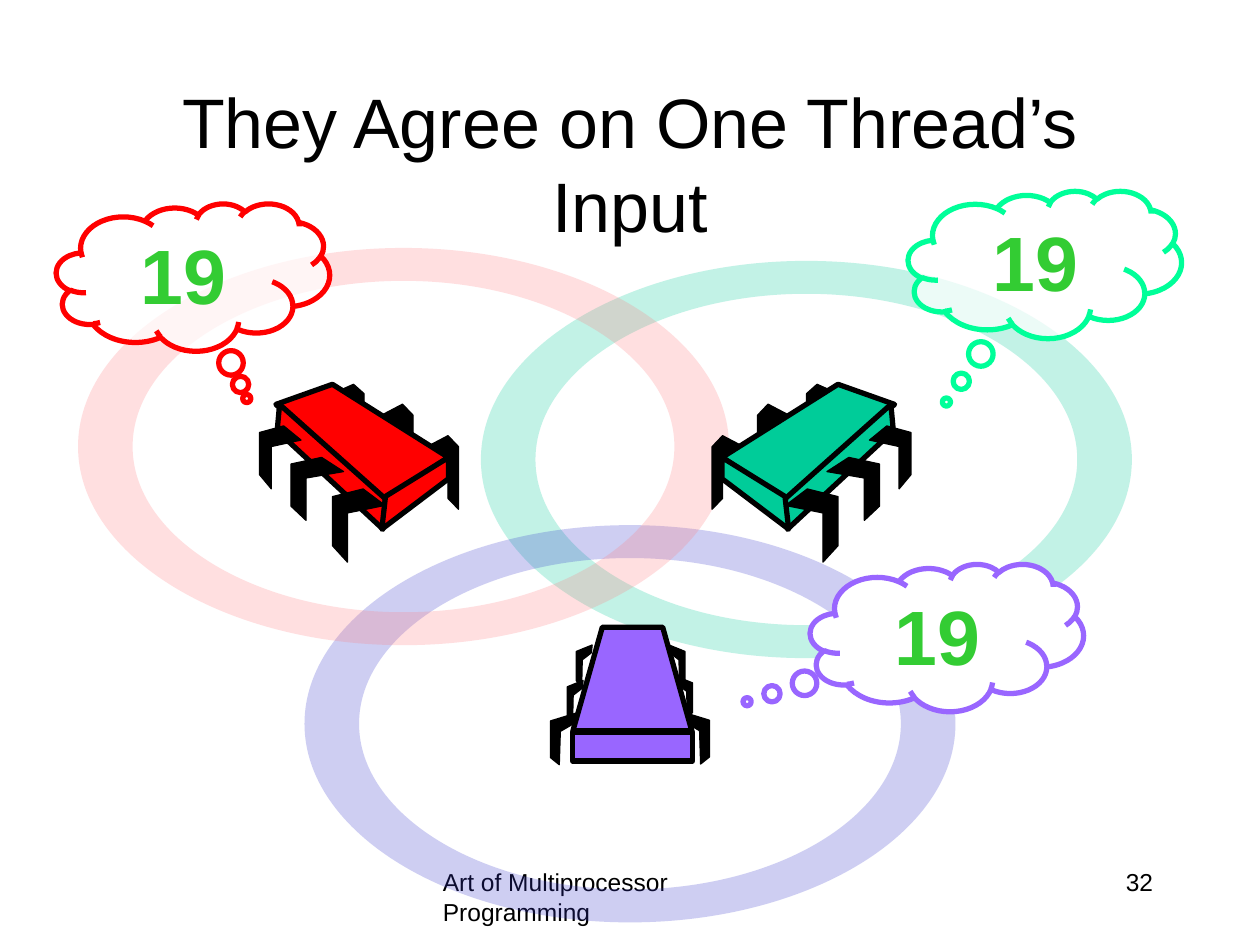
from pptx import Presentation
from pptx.dml.color import RGBColor
from pptx.enum.shapes import MSO_SHAPE as Kind
from pptx.enum.text import MSO_ANCHOR as Anchor, PP_ALIGN as Align
from pptx.oxml.xmlchemy import OxmlElement as Node
from pptx.util import Pt


def paint(shape, fill, line=None, width=0.75, alpha=100):
    shape.shadow.inherit = False
    shape.fill.solid()
    shape.fill.fore_color.rgb = RGBColor.from_string(fill)
    if alpha < 100:
        node = Node("a:alpha")
        node.set("val", str(alpha * 1000))
        shape._element.xpath("./p:spPr/a:solidFill/a:srgbClr")[0].append(node)
    if line:
        shape.line.color.rgb = RGBColor.from_string(line)
        shape.line.width = Pt(width)
    else:
        shape.line.fill.background()


def trace(shapes, *loops):
    loops = [[(Pt(x), Pt(y)) for x, y in loop] for loop in loops]
    pen = shapes.build_freeform(*loops[0][0], scale=1.0)
    pen.add_line_segments(loops[0][1:], close=True)
    for loop in loops[1:]:
        pen.move_to(*loop[0])
        pen.add_line_segments(loop[1:], close=True)
    return pen.convert_to_shape()


deck = Presentation()
deck.slide_width, deck.slide_height = Pt(720), Pt(540)
slide = deck.slides.add_slide(deck.slide_layouts[6])
shapes = slide.shapes

for text, size, align, anchor, spot in [
    ("Art of Multiprocessor Programming", 14, Align.LEFT, Anchor.TOP, (246, 492, 228, 36)),
    ("32", 14, Align.RIGHT, Anchor.TOP, (516, 492, 150, 36)),
    ("They Agree on One Thread’s Input", 40, Align.CENTER, Anchor.MIDDLE, (54, 48, 612, 90)),
]:
    frame = shapes.add_textbox(*map(Pt, spot)).text_frame
    frame.word_wrap = True
    frame.vertical_anchor = anchor
    para = frame.paragraphs[0]
    para.text = text
    para.alignment = align
    para.font.name = "Arial"
    para.font.size = Pt(size)
    para.font.color.rgb = RGBColor.from_string("000000")

bend = 0.55
for x, y, color in [
    (460.8, 262.6, "00CC99"),
    (360, 413.6, "3333CC"),
    (230.6, 255.2, "FF7C80"),
]:
    loops = [
        [(x - rx, y), (x, y - ry), (x + rx, y), (x, y + ry), (x - rx, y)]
        for rx, ry in [(186, 113.5), (154.8, -94.7)]
    ]
    ring = trace(shapes, *loops)
    for start in ring._element.xpath(".//a:moveTo"):
        px, py = [int(v) for v in start.xpath("./a:pt/@x | ./a:pt/@y")]
        step = start.getnext()
        for turn in range(4):
            qx, qy = [int(v) for v in step.xpath("./a:pt/@x | ./a:pt/@y")]
            cx, cy = (qx, py) if turn % 2 else (px, qy)
            curve = Node("a:cubicBezTo")
            for ax, ay in [
                (px + bend * (cx - px), py + bend * (cy - py)),
                (qx + bend * (cx - qx), qy + bend * (cy - qy)),
                (qx, qy),
            ]:
                dot = Node("a:pt")
                dot.set("x", str(round(ax)))
                dot.set("y", str(round(ay)))
                curve.append(dot)
            step.getparent().replace(step, curve)
            step = curve.getnext()
            px, py = qx, qy
    paint(ring, color, alpha=24)

bug = shapes.add_group_shape().shapes
limb = [(0, 0), (15, 4.6), (15, 25.6), (10, 29.6), (9.4, 10.6), (0.8, 5.6)]
for side, x, y, sx, sy in [
    (1, 390.4, 407, 1, 1),
    (1, 386.8, 386.6, 0.6, 0.8),
    (1, 382.4, 368.6, 0.6, 0.8),
    (-1, 329.6, 407.4, 1, 1),
    (-1, 333.2, 388.8, 0.6, 0.8),
    (-1, 338.4, 368.6, 0.6, 0.8),
]:
    leg = trace(bug, [(x + side * sx * dx, y + sy * dy) for dx, dy in limb])
    paint(leg, "000000", "000000")
top = trace(bug, [(327.4, 417.6), (344.2, 358.4), (378.7, 358.4), (395.3, 417.6)])
face = bug.add_shape(Kind.RECTANGLE, Pt(327.3), Pt(418.3), Pt(68.4), Pt(16.6))
for part in (top, face):
    paint(part, "9966FF", "000000", 3)

rear = [(0, 6.3), (12, 0), (18, 6.3), (18, 42), (12, 35.8), (12, 12), (0, 18)]
near = [(17.5, 0), (30, 9.4), (8.6, 13.7), (8.6, 41.8), (0, 32.4), (0, 4.4)]
body = [
    [(190, 219.6), (256.3, 261.4), (218.9, 285.8), (157.7, 231.1)],
    [(159.8, 231.1), (220.3, 285.1), (218.9, 302.4), (158.4, 246.2)],
    [(256.3, 261.4), (256.3, 273.6), (218.2, 302.4), (220.3, 283.7)],
]
legs = [
    [
        [(x + sx * dx, y + sy * dy) for dx, dy in form]
        for x, y, sx, sy in spots
    ]
    for form, spots in [
        (rear, [(244, 249, 1, 1), (218, 231, 1, 1), (190, 219.6, 1, 0.85)]),
        (near, [(190, 279.4, 1, 1), (166.3, 261.4, 1, 0.86), (148.3, 243.4, 0.79, 0.86)]),
    ]
]
for color, edge, side in [("FF0000", 0, 1), ("00CC99", 668.9, -1)]:
    bug = shapes.add_group_shape().shapes
    for parts, fill, width in [(legs[0], "000000", 0.75), (body, color, 3), (legs[1], "000000", 0.75)]:
        for part in parts:
            paint(trace(bug, [(edge + side * x, y) for x, y in part]), fill, "000000", width)

for x, y, tail, color, alpha in [
    (32.2, 116.3, (0.197, 0.824), "FF0000", 70),
    (519, 109.1, (-0.36, 0.933), "00FF99", 70),
    (463, 322.3, (-0.731, 0.435), "9966FF", 100),
]:
    cloud = shapes.add_shape(Kind.CLOUD_CALLOUT, Pt(x), Pt(y), Pt(156.2), Pt(84.2))
    cloud.adjustments[0], cloud.adjustments[1] = tail
    paint(cloud, "FFFFFF", color, 3, alpha)
    frame = cloud.text_frame
    frame.vertical_anchor = Anchor.MIDDLE
    para = frame.paragraphs[0]
    para.text = "19"
    para.alignment = Align.CENTER
    para.font.name = "Arial"
    para.font.size = Pt(44)
    para.font.bold = True
    para.font.color.rgb = RGBColor.from_string("33CC33")

deck.save("out.pptx")
